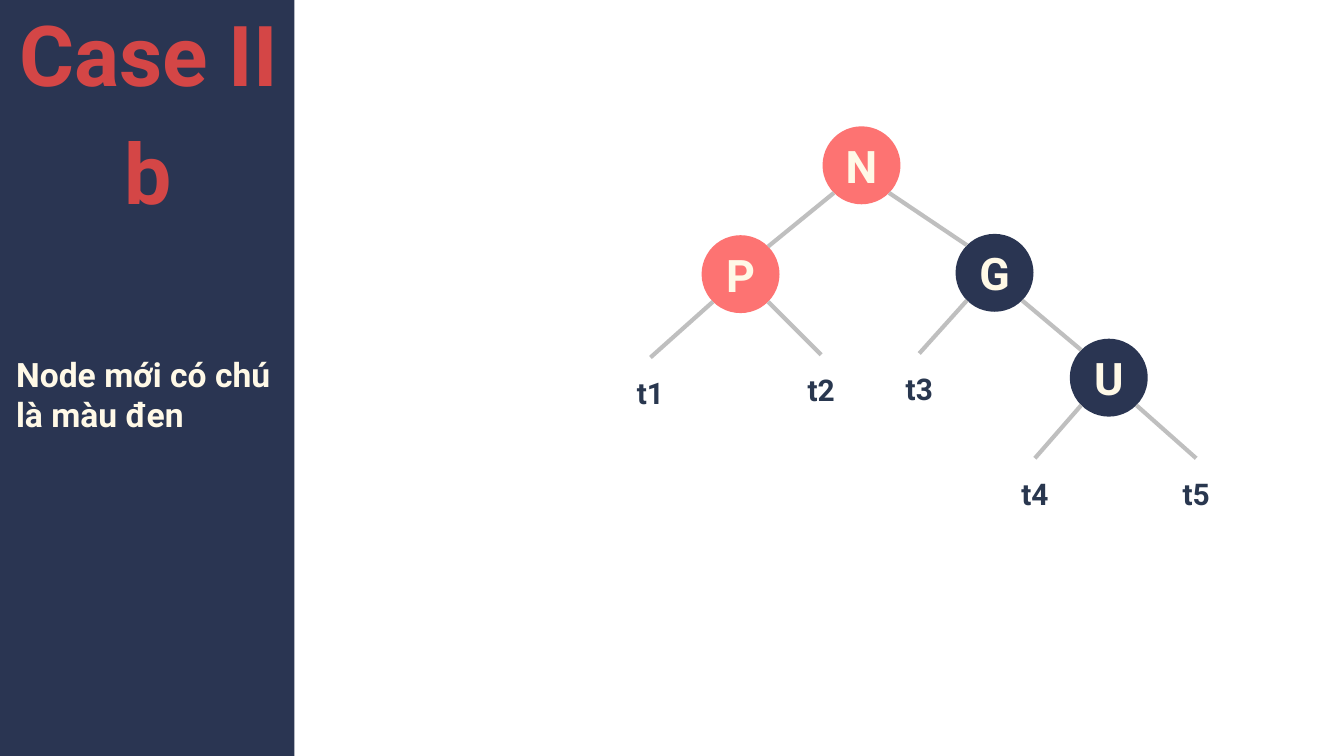
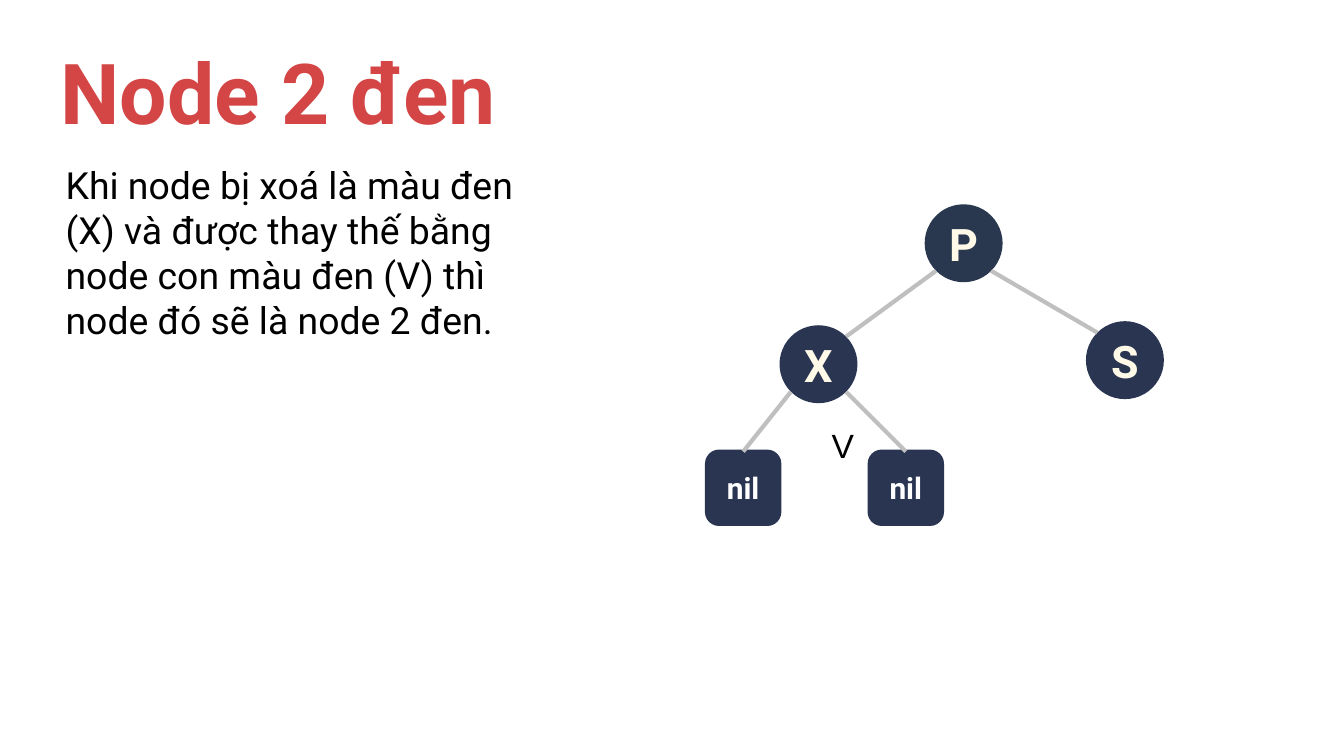
from pptx import Presentation, util as u
from pptx.dml.color import RGBColor
from pptx.enum import shapes, text
from pptx.oxml.ns import qn
from lxml import etree

NAVY = RGBColor(0x2A, 0x35, 0x52)
SLATE = RGBColor(0x29, 0x37, 0x4F)
CORAL = RGBColor(0xFD, 0x73, 0x72)
RED = RGBColor(0xD4, 0x46, 0x46)
CREAM = RGBColor(0xFF, 0xF9, 0xE7)
GREY = RGBColor(0xBF, 0xBF, 0xBF)
WHITE = RGBColor(0xFF, 0xFF, 0xFF)
BLACK = RGBColor(0, 0, 0)

CENTER = text.PP_ALIGN.CENTER
LEFT = text.PP_ALIGN.LEFT
TOP = text.MSO_ANCHOR.TOP
MIDDLE = text.MSO_ANCHOR.MIDDLE

TITLE = dict(size=45, color=RED, bold=True)
NODE = dict(size=24, color=CREAM, bold=True)
LEAF = dict(size=16, color=SLATE, bold=True)
NIL = dict(LEAF, color=WHITE)

NODE_D, LEAF_D, NIL_D = 0.58, 0.52, 0.54
DIAG = NODE_D / 2 * 0.5 ** 0.5  # offset from a circle's centre to its diagonal point


def write(sp, lines, style, align=LEFT, anchor=TOP, inset=(0, 0), spacing=None):
    """Fill a shape with one paragraph per line; inset is (sides, top and bottom)."""
    tf = sp.text_frame
    tf.word_wrap = True
    tf.vertical_anchor = anchor
    tf.margin_left = tf.margin_right = u.Inches(inset[0])
    tf.margin_top = tf.margin_bottom = u.Inches(inset[1])
    for i, line in enumerate(lines):
        p = tf.add_paragraph() if i else tf.paragraphs[0]
        p.alignment = align
        if spacing:
            p.line_spacing = u.Pt(spacing)
        r = p.add_run()
        r.text = line
        fmt = dict(name="Roboto", bold=False) | style
        r.font.color.rgb = fmt.pop("color")
        fmt["size"] = u.Pt(fmt["size"])
        for key, value in fmt.items():
            setattr(r.font, key, value)


def add_tree(s, nodes):
    """Draw nodes given as (label, left, top, fill, parent index), parents first."""
    centers = []
    for label, x, y, fill, parent in nodes:
        is_node = len(label) == 1
        if is_node:
            kind, d, style = shapes.MSO_SHAPE.OVAL, NODE_D, NODE
        else:
            kind = shapes.MSO_SHAPE.ROUNDED_RECTANGLE
            d, style = (NIL_D, NIL) if fill else (LEAF_D, LEAF)
        sp = s.shapes.add_shape(kind, *map(u.Inches, (x, y, d, d)))
        sp.shadow.inherit = False
        sp.line.fill.background()
        if fill:
            sp.fill.solid()
            sp.fill.fore_color.rgb = fill
            if not is_node:
                sp.line.color.rgb = fill
                sp.line.width = u.Pt(2)
        else:
            sp.fill.background()
        write(sp, [label], style, CENTER, MIDDLE)

        cx, cy = x + d / 2, y + d / 2
        centers.append((cx, cy))
        if parent is None:
            continue
        px, py = centers[parent]
        dx = DIAG if cx > px else -DIAG
        ends = (px + dx, py + DIAG, cx - dx, cy - DIAG)
        c = s.shapes.add_connector(shapes.MSO_CONNECTOR.STRAIGHT, *map(u.Inches, ends))
        if not is_node:
            c.end_connect(sp, 0)
        c.line.color.rgb = GREY
        c.line.width = u.Pt(2.25)
        etree.SubElement(c._element.spPr, qn("a:effectLst"))


prs = Presentation()
prs.slide_width = u.Inches(10)
prs.slide_height = prs.slide_width * 9 // 16
blank = prs.slide_layouts[6]

# Slide 1: case II b
s = prs.slides.add_slide(blank)
band = s.shapes.add_shape(shapes.MSO_SHAPE.RECTANGLE,
                          *map(u.Inches, (-0.01, 0, 2.2, 5.67)))
band.shadow.inherit = False
band.fill.solid()
band.fill.fore_color.rgb = NAVY
band.line.fill.background()

note = s.shapes.add_textbox(*map(u.Inches, (0.12, 2.63, 1.97, 0.61)))
write(note, ["Node mới có chú là màu đen"], dict(size=18, color=CREAM, bold=True))
title = s.shapes.add_textbox(*map(u.Inches, (0.12, -0.08, 1.97, 1.7)))
write(title, ["Case II", "b"], TITLE, CENTER, MIDDLE, spacing=63)

add_tree(s, [
    ("N", 6.12, 0.94, CORAL, None),
    ("P", 5.22, 1.75, CORAL, 0),
    ("G", 7.11, 1.74, NAVY, 0),
    ("U", 7.96, 2.52, NAVY, 2),
    ("t1", 4.58, 2.66, None, 1),
    ("t2", 5.85, 2.64, None, 1),
    ("t3", 6.58, 2.63, None, 2),
    ("t4", 7.44, 3.41, None, 3),
    ("t5", 8.64, 3.41, None, 3),
])

# Slide 2: double black node
s = prs.slides.add_slide(blank)
body = s.shapes.add_textbox(*map(u.Inches, (0.39, 1.16, 3.74, 1.9)))
write(body, ["Khi node bị xoá là màu đen (X) và được thay thế bằng node con màu đen (V) "
             "thì node đó sẽ là node 2 đen."],
      dict(size=20, color=BLACK), inset=(0.1, 0.05))
title = s.shapes.add_textbox(*map(u.Inches, (-0.33, 0.18, 4.8, 0.82)))
write(title, ["Node 2 đen"], TITLE, CENTER, spacing=63)

add_tree(s, [
    ("P", 6.88, 1.52, SLATE, None),
    ("X", 5.8, 2.42, NAVY, 0),
    ("S", 8.08, 2.39, NAVY, 0),
    ("nil", 5.26, 3.36, NAVY, 1),
    ("nil", 6.47, 3.36, NAVY, 1),
])
mark = s.shapes.add_textbox(*map(u.Inches, (6.09, 3.11, 0.4, 0.4)))
write(mark, ["V"], dict(name="Arial", size=18, color=BLACK), inset=(0.1, 0.05))

prs.save("out.pptx")
